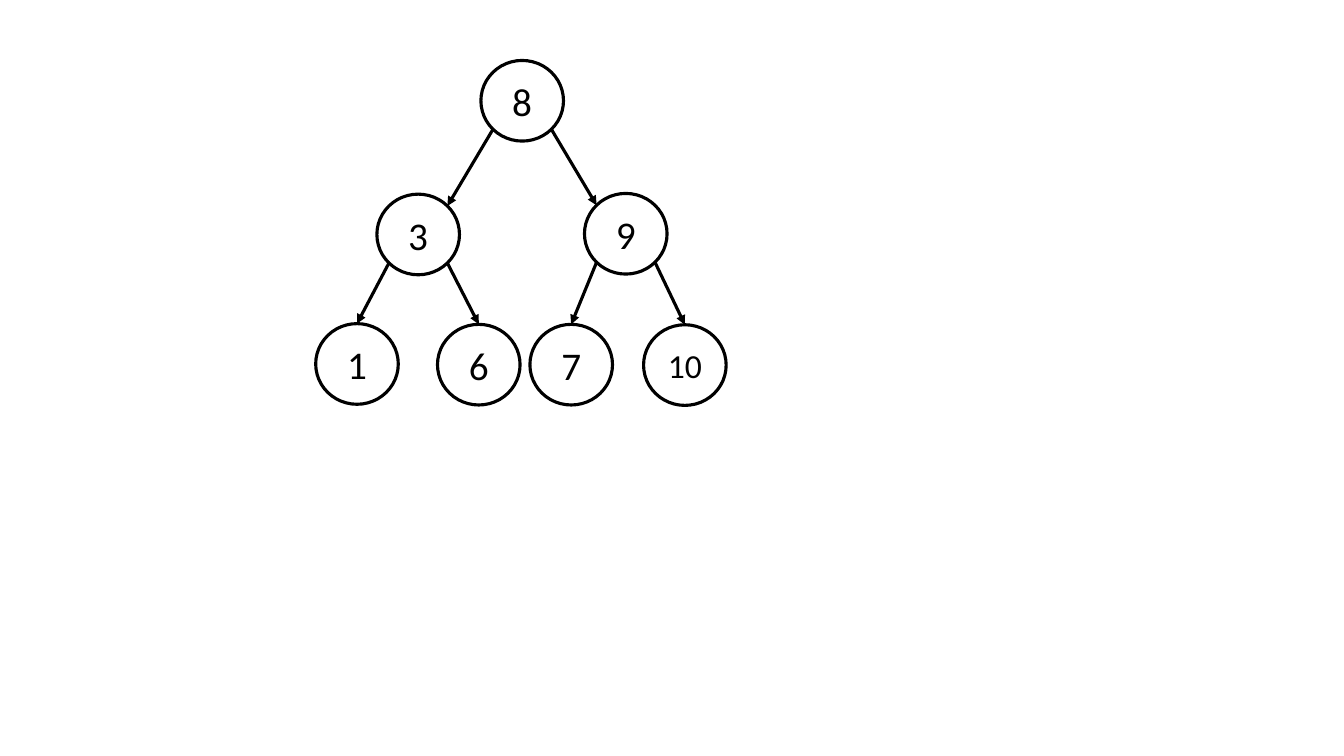
"""Build a slide with a binary search tree of seven nodes."""
from dataclasses import dataclass
from math import sqrt

from lxml import etree
from pptx import Presentation
from pptx.dml.color import RGBColor
from pptx.enum.shapes import MSO_CONNECTOR, MSO_SHAPE
from pptx.enum.text import MSO_ANCHOR, PP_ALIGN
from pptx.oxml.ns import qn
from pptx.util import Pt

OVAL = MSO_SHAPE.OVAL
STRAIGHT = MSO_CONNECTOR.STRAIGHT
MIDDLE = MSO_ANCHOR.MIDDLE
CENTER = PP_ALIGN.CENTER


@dataclass(frozen=True)
class Theme:
    ink: RGBColor = RGBColor(0, 0, 0)
    font: str = "Calibri"
    digit_size: int = 28
    two_digit_size: int = 24
    line_width: float = 2.25


theme = Theme()
NODE_WIDTH, NODE_HEIGHT = 59, 57.6
DIAGONAL_X = NODE_WIDTH / 2 / sqrt(2)
DIAGONAL_Y = NODE_HEIGHT / 2 / sqrt(2)

node_centers = {
    "8": (373, 72),
    "3": (298.7, 167.5),
    "1": (255, 260),
    "6": (342, 260.5),
    "9": (447, 167),
    "7": (408, 260.5),
    "10": (489.2, 260.8),
}
children = {"8": ("3", "9"), "3": ("1", "6"), "9": ("7", "10")}

presentation = Presentation()
presentation.slide_width = Pt(960)
presentation.slide_height = Pt(540)
slide = presentation.slides.add_slide(presentation.slide_layouts[6])

for key, (center_x, center_y) in node_centers.items():
    node = slide.shapes.add_shape(
        OVAL,
        Pt(center_x - NODE_WIDTH / 2),
        Pt(center_y - NODE_HEIGHT / 2),
        Pt(NODE_WIDTH),
        Pt(NODE_HEIGHT),
    )
    node.name = f"Node {key}"
    node.shadow.inherit = False
    node.fill.background()
    node.line.color.rgb = theme.ink
    node.line.width = Pt(theme.line_width)
    node.text_frame.text = key
    node.text_frame.vertical_anchor = MIDDLE
    paragraph = node.text_frame.paragraphs[0]
    paragraph.alignment = CENTER
    font = paragraph.runs[0].font
    font.name = theme.font
    font.size = Pt(theme.digit_size if len(key) == 1 else theme.two_digit_size)
    font.color.rgb = theme.ink

for parent, pair in children.items():
    parent_x, parent_y = node_centers[parent]
    for child, side in zip(pair, (-1, 1)):
        child_x, child_y = node_centers[child]
        if child in children:
            end_x, end_y = child_x - side * DIAGONAL_X, child_y - DIAGONAL_Y
        else:
            end_x, end_y = child_x, child_y - NODE_HEIGHT / 2
        edge = slide.shapes.add_connector(
            STRAIGHT,
            Pt(parent_x + side * DIAGONAL_X),
            Pt(parent_y + DIAGONAL_Y),
            Pt(end_x),
            Pt(end_y),
        )
        edge.name = f"Edge {parent} to {child}"
        edge.line.color.rgb = theme.ink
        edge.line.width = Pt(theme.line_width)
        etree.SubElement(edge.line._get_or_add_ln(), qn("a:tailEnd"), type="triangle")
        etree.SubElement(edge._element.spPr, qn("a:effectLst"))

presentation.save("out.pptx")
